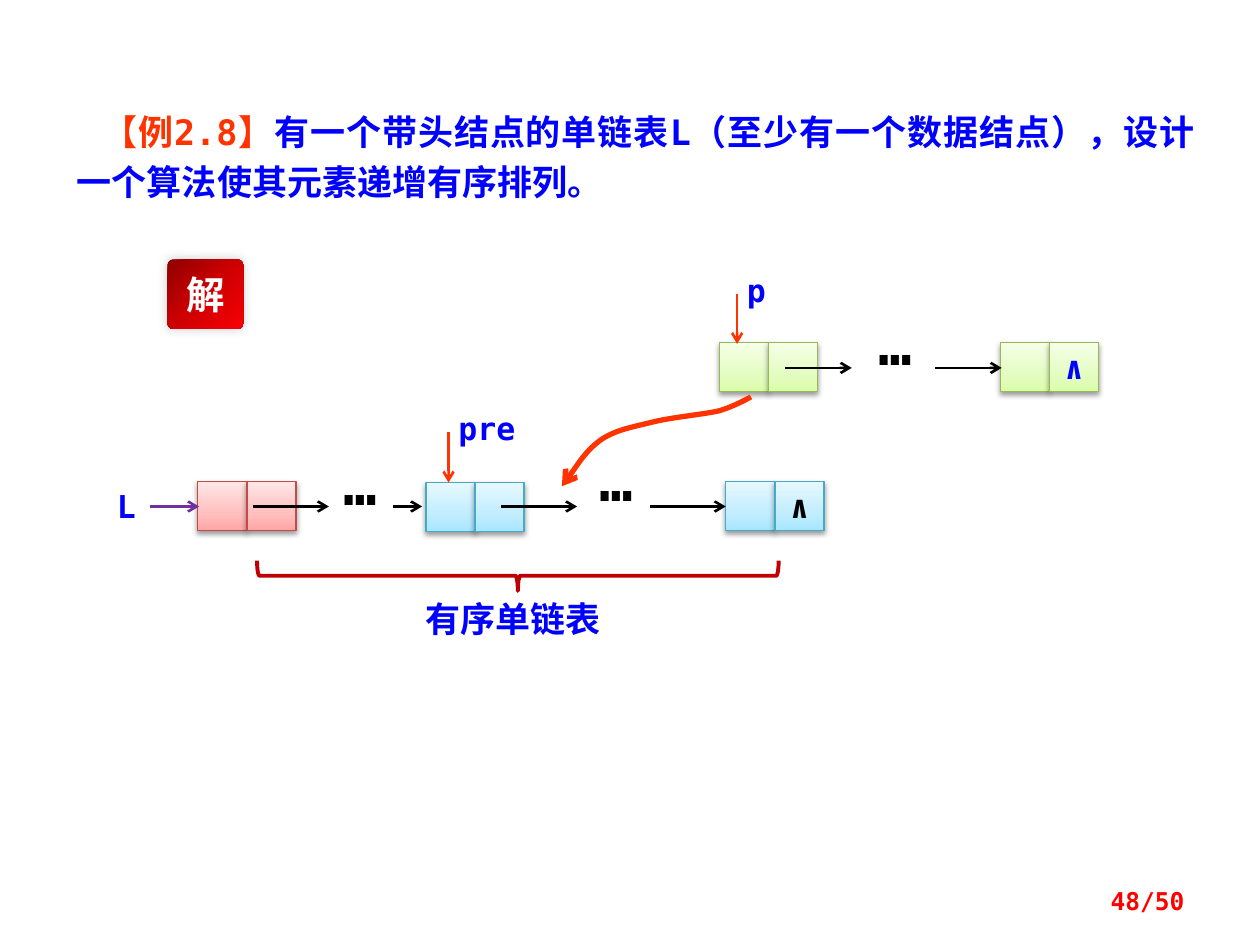
import copy
import pptx
import pptx.util
import pptx.dml.color
import pptx.enum.shapes
import pptx.enum.text
import pptx.oxml
import pptx.oxml.ns
from pptx.util import Inches

COLORS = {"blue": "0000FF", "orange": "FF3300", "black": "000000", "purple": "7030A0",
          "brace": "C00000", "page": "FF0000", "white": "FFFFFF"}
NODES = {"head": {"line": "BF4C48", "stops": ((0, "FFA6A5"), (0.35, "FFC0BF"), (1, "FFE7E7"))},
         "sorted": {"line": "46AAC5", "stops": ((0, "A7E6FF"), (0.35, "C1EDFF"), (1, "E7F8FF"))},
         "rest": {"line": "98B955", "stops": ((0, "DAFDA7"), (0.35, "E4FCC2"), (1, "F5FFE7"))}}
BADGE_STOPS = ((0, "8F0000"), (0.5, "CF0001"), (1, "F60004"))
MONO, CJK = "DejaVu Sans Mono", "Noto Sans CJK SC"
CELL = 0.39
SHAPE, ALIGN = pptx.enum.shapes.MSO_SHAPE, pptx.enum.text.PP_ALIGN
MIDDLE, TOP = pptx.enum.text.MSO_ANCHOR.MIDDLE, pptx.enum.text.MSO_ANCHOR.TOP


def rgb(value):
    """Turn a hex string into a colour."""
    return pptx.dml.color.RGBColor.from_string(value)


def element(tag, parent, **attributes):
    """Append a drawing element to its parent."""
    child = pptx.oxml.parse_xml(f"<a:{tag} {pptx.oxml.ns.nsdecls('a')}/>")
    for name, value in attributes.items():
        child.set(name, str(value))
    parent.append(child)
    return child


def write(paragraph, words, color, size, face=MONO, cjk=False):
    """Add a bold run to a paragraph."""
    run = paragraph.add_run()
    run.text = words
    run.font.color.rgb = rgb(COLORS[color])
    formats = {"name": face, "size": pptx.util.Pt(size), "bold": True}
    for name, value in formats.items():
        setattr(run.font, name, value)
    if cjk:
        element("ea", run.font._element, typeface=CJK)


def label(slide, box, words, color="blue", size=18, align=ALIGN.LEFT, anchor=TOP,
          spacing=None, cjk=False):
    """Place a text box with one line."""
    frame = slide.shapes.add_textbox(*map(Inches, box)).text_frame
    frame.word_wrap = True
    frame.vertical_anchor = anchor
    paragraph = frame.paragraphs[0]
    paragraph.alignment = align
    if spacing:
        paragraph.line_spacing = pptx.util.Pt(spacing)
    write(paragraph, words, color, size, cjk=cjk)


def ellipsis(slide, left, top):
    """Mark the nodes that are left out."""
    label(slide, (left, top, 0.42, 0.38), "…", "black", 32, spacing=16)


def style_line(line, color, width):
    """Set the colour and width of a line."""
    line.color.rgb = rgb(color)
    line.width = pptx.util.Pt(width)


def arrow(slide, left, top, across=0, down=0, color="black"):
    """Draw a straight arrow from a starting point."""
    pointer = slide.shapes.add_connector(
        pptx.enum.shapes.MSO_CONNECTOR.STRAIGHT,
        *map(Inches, (left, top, left + across, top + down)))
    style_line(pointer.line, COLORS[color], 1.5)
    element("tailEnd", pointer.line._get_or_add_ln(), type="arrow")
    element("effectLst", pointer._element.spPr)


def shade(shape, stops, angle, alpha, blur, distance, direction):
    """Give a shape a three-stop gradient and a soft shadow."""
    shape.fill.gradient()
    shape.fill.gradient_angle = angle
    stop_list = shape._element.spPr.find(".//" + pptx.oxml.ns.qn("a:gsLst"))
    stop_list.append(copy.deepcopy(stop_list[-1]))
    for stop, (position, color) in zip(shape.fill.gradient_stops, stops):
        stop.position = position
        stop.color.rgb = rgb(color)
    shape.shadow.inherit = False
    effects = shape._element.spPr.find(pptx.oxml.ns.qn("a:effectLst"))
    shadow = element("outerShdw", effects, blurRad=pptx.util.Pt(blur), dist=pptx.util.Pt(distance),
                     dir=direction * 60000, algn="ctr", rotWithShape=0)
    tint = element("srgbClr", shadow, val=COLORS["black"])
    element("alpha", tint, val=alpha * 1000)


def inscribe(shape, words, color, size, face=MONO, cjk=False):
    """Centre a mark inside a shape."""
    frame = shape.text_frame
    frame.word_wrap = False
    frame.vertical_anchor = MIDDLE
    frame.paragraphs[0].alignment = ALIGN.CENTER
    write(frame.paragraphs[0], words, color, size, face, cjk)


def node(slide, left, top, kind, mark_color=None):
    """Draw a list node of a data cell and a link cell."""
    for column in range(2):
        cell = slide.shapes.add_shape(
            SHAPE.RECTANGLE, *map(Inches, (left + column * CELL, top, CELL, CELL)))
        shade(cell, NODES[kind]["stops"], 90, 38, 3.1, 1.6, 90)
        style_line(cell.line, NODES[kind]["line"], 0.75)
    if mark_color:
        inscribe(cell, "∧", mark_color, 18)


def problem(slide, box):
    """Fill the title with the wording of the example."""
    title = slide.shapes.title
    for name, value in zip(("left", "top", "width", "height"), box):
        setattr(title, name, Inches(value))
    frame = title.text_frame
    frame.word_wrap = True
    frame.vertical_anchor = TOP
    frame.auto_size = pptx.enum.text.MSO_AUTO_SIZE.NONE
    statement = frame.paragraphs[0]
    statement.alignment = ALIGN.JUSTIFY
    statement.line_spacing = 1.2
    statement.space_before = 0
    statement._p.get_or_add_pPr().set("indent", str(Inches(0.2)))
    write(statement, "【例2.8】", "orange", 20, cjk=True)
    write(statement, "有一个带头结点的单链表L（至少有一个数据结点），设计一个算法使其元素递增有序排列。",
          "blue", 20, cjk=True)


def solution_badge(slide, box):
    """Draw the red badge that opens the solution."""
    badge = slide.shapes.add_shape(SHAPE.ROUNDED_RECTANGLE, *map(Inches, box))
    badge.adjustments[0] = 0.08
    shade(badge, BADGE_STOPS, 315, 20, 6, 0, 225)
    badge.line.fill.background()
    inscribe(badge, "解", "white", 22, CJK, True)


def sorted_list(slide, left, top):
    """Draw the sorted list with its head, pre pointer and brace."""
    middle = top + 0.2
    label(slide, (left, top, 0.61, 0.4), "L")
    node(slide, left + 0.74, top, "head")
    node(slide, left + 2.55, top + 0.01, "sorted")
    node(slide, left + 4.93, top, "sorted", "black")
    arrow(slide, left + 0.36, middle, 0.39, color="purple")
    for offset, length in ((1.18, 0.6), (2.29, 0.23), (3.15, 0.6), (4.33, 0.6)):
        arrow(slide, left + offset, middle, length)
    ellipsis(slide, left + 1.8, top + 0.01)
    ellipsis(slide, left + 3.83, top - 0.02)
    arrow(slide, left + 2.73, top - 0.39, down=0.4, color="orange")
    label(slide, (left + 2.71, top - 0.62, 0.77, 0.4), "pre")
    brace = slide.shapes.add_shape(
        SHAPE.RIGHT_BRACE, *map(Inches, (left + 3.16, top - 1.32, 0.24, 4.14)))
    brace.rotation = 90
    brace.fill.background()
    brace.shadow.inherit = False
    style_line(brace.line, COLORS["brace"], 2.25)
    label(slide, (left + 2.23, top + 0.87, 2.03, 0.44), "有序单链表", size=20,
          align=ALIGN.CENTER, cjk=True)


def remaining_list(slide, left, top):
    """Draw the nodes still to be inserted and the p pointer."""
    node(slide, left, top, "rest")
    node(slide, left + 2.23, top, "rest", "blue")
    for offset in (0.52, 1.71):
        arrow(slide, left + offset, top + 0.2, 0.53)
    ellipsis(slide, left + 1.16, top)
    arrow(slide, left + 0.14, top - 0.39, down=0.4, color="orange")
    label(slide, (left + 0.12, top - 0.62, 0.39, 0.4), "p")


def insertion_curve(slide, left, top):
    """Draw the curved arrow from node p to its place in the sorted list."""
    bends = ((1.5, 0), (1.38, 0.07), (1.25, 0.11), (1.12, 0.14), (0.88, 0.16), (0.72, 0.2),
             (0.56, 0.24), (0.43, 0.26), (0.31, 0.34), (0.19, 0.43), (0.06, 0.63), (0, 0.71))
    builder = slide.shapes.build_freeform(Inches(left + 1.5), Inches(top))
    builder.add_line_segments([(Inches(left + x), Inches(top + y)) for x, y in bends], close=False)
    curve = builder.convert_to_shape()
    outline = curve._element.spPr.find(".//" + pptx.oxml.ns.qn("a:path"))
    segments = outline.findall(pptx.oxml.ns.qn("a:lnTo"))
    for start in range(0, len(segments), 3):
        bezier = element("cubicBezTo", outline)
        for segment in segments[start:start + 3]:
            bezier.append(segment[0])
            outline.remove(segment)
    curve.fill.background()
    curve.shadow.inherit = False
    style_line(curve.line, COLORS["orange"], 3)
    element("tailEnd", curve.line._get_or_add_ln(), type="arrow")


def main():
    """Build the slide and save it."""
    deck = pptx.Presentation()
    deck.slide_width, deck.slide_height = Inches(10), Inches(7.5)
    slide = deck.slides.add_slide(deck.slide_layouts[5])
    problem(slide, (0.51, 0.76, 9.07, 0.87))
    solution_badge(slide, (1.33, 2.06, 0.6, 0.55))
    sorted_list(slide, 0.83, 3.82)
    remaining_list(slide, 5.71, 2.72)
    insertion_curve(slide, 4.46, 3.15)
    label(slide, (7.17, 6.95, 2.33, 0.4), "48/50", "page", 14, ALIGN.RIGHT, MIDDLE)
    deck.save("out.pptx")


if __name__ == "__main__":
    main()
